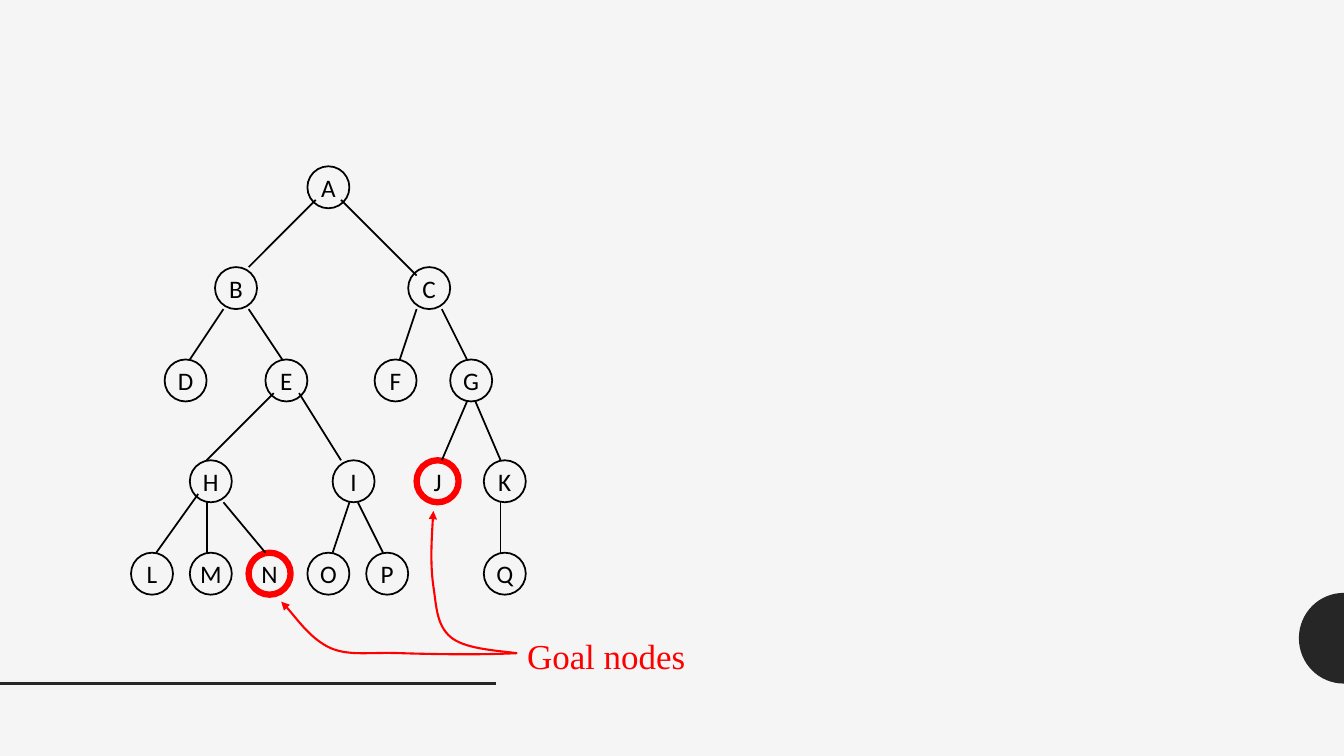
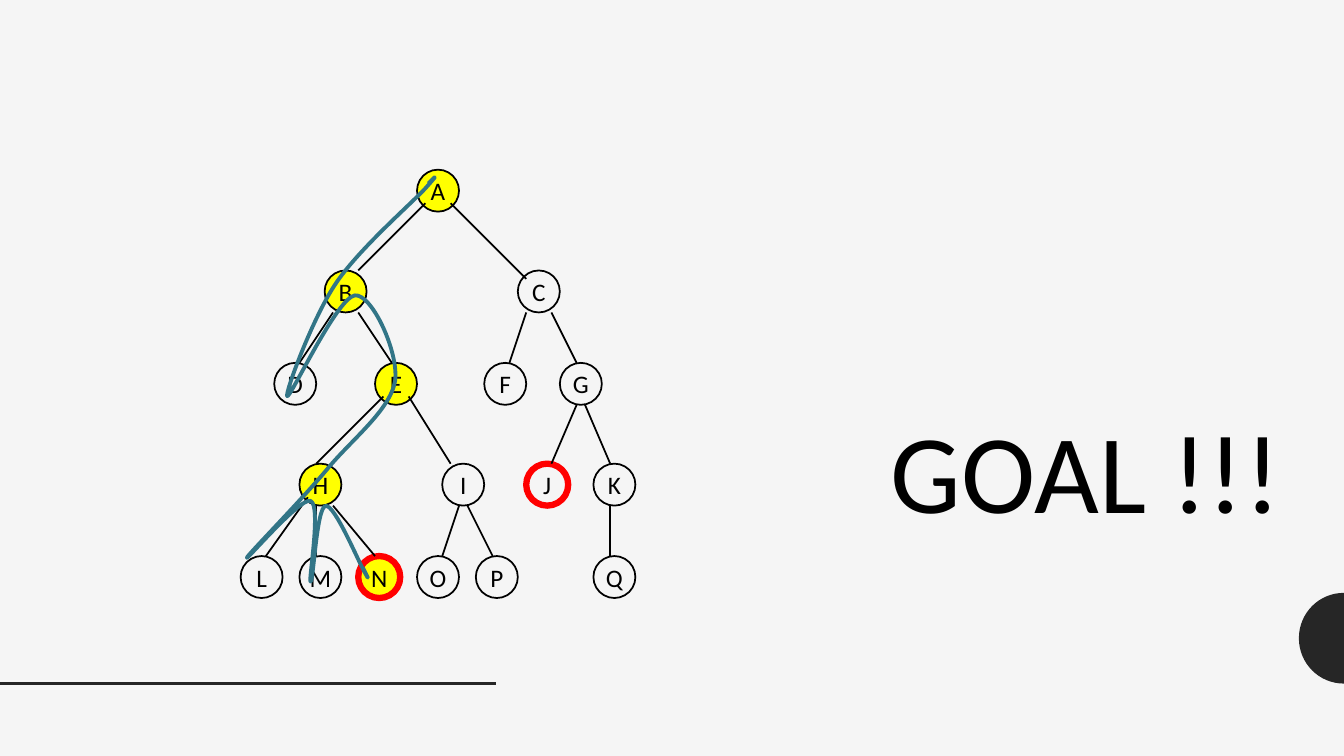
"""Build two slides on depth-first search through a tree with goal nodes."""
from lxml import etree
from pptx import Presentation
from pptx.dml.color import RGBColor
from pptx.enum.shapes import MSO_CONNECTOR, MSO_SHAPE
from pptx.enum.text import MSO_ANCHOR, PP_ALIGN
from pptx.oxml.ns import qn
from pptx.util import Pt

OVAL = MSO_SHAPE.OVAL
STRAIGHT = MSO_CONNECTOR.STRAIGHT
MIDDLE = MSO_ANCHOR.MIDDLE
CENTER = PP_ALIGN.CENTER

PAPER = RGBColor(0xF5, 0xF5, 0xF5)
CHARCOAL = RGBColor(0x26, 0x26, 0x26)
BLACK = RGBColor(0x00, 0x00, 0x00)
RED = RGBColor(0xFF, 0x00, 0x00)
YELLOW = RGBColor(0xFF, 0xFF, 0x00)
TEAL = RGBColor(0x32, 0x75, 0x87)

SANS = "Calibri"
SERIF = "Times New Roman"

NODE_SIZE = 30
GOALS = "NJ"
LEVELS = [
    (276, {"L": 0, "M": 42, "N": 84, "O": 126, "P": 168, "Q": 252}),
    (210, {"H": 42, "I": 144, "J": 204, "K": 252}),
    (138, {"D": 24, "E": 96, "F": 174, "G": 228}),
    (72, {"B": 60, "C": 198}),
    (0, {"A": 126}),
]
EDGES = [
    (84, 72, 132, 24), (150, 24, 204, 78),
    (66, 102, 42, 138), (84, 102, 108, 138),
    (204, 102, 192, 138), (222, 102, 240, 138),
    (54, 210, 102, 162), (150, 210, 120, 162),
    (222, 210, 240, 168), (264, 210, 246, 168),
    (18, 276, 48, 234), (54, 276, 54, 240), (96, 276, 66, 240),
    (144, 276, 156, 240), (180, 276, 162, 240), (264, 276, 264, 240),
]

HALF_DISC = [
    (960, 423.5), (942.1, 423.5), (927.8, 438), (927.8, 455.9),
    (927.8, 473.8), (942.1, 488.3), (960, 488.3),
]
ARROW_TO_N = [
    (369.4, 466.6), (341.3, 468), (307.4, 467.3), (285.8, 466.6),
    (263.5, 465.8), (249.8, 468.7), (236.2, 463),
    (221.8, 456.5), (208.1, 436.3), (200.9, 429.8),
]
ARROW_TO_J = [
    (369.4, 466.6), (350.6, 464.4), (331.2, 463), (321.8, 455),
    (311.8, 446.4), (311.8, 433.4), (309.6, 419),
    (307.4, 403.9), (308.2, 384.5), (309.6, 365),
]
SEARCH_TRACE = [
    (306, 131), (310.3, 126.7), (314.6, 122.4), (303.8, 134.6),
    (292.3, 146.9), (254.9, 179.3), (239, 203.8),
    (222.5, 229), (203, 282.2), (205.2, 283),
    (207.4, 284.4), (240.5, 213.1), (253.4, 211),
    (265.7, 209.5), (285.1, 252), (282.2, 272.2),
    (278.6, 293), (251.3, 313.9), (234, 334.8),
    (216.7, 355.7), (178.6, 394.6), (176.4, 398.2),
    (174.2, 402.5), (214.6, 355), (221.8, 357.8),
    (229.7, 360.7), (220.3, 414.7), (221.8, 415.4),
    (223.9, 416.2), (226.1, 362.2), (232.6, 361.4),
    (239, 360), (256.3, 401.8), (260.6, 409),
    (265, 416.9), (262.1, 411.1), (259.2, 405.4),
]


def style_font(para, name, size, color):
    """Set the font of a whole paragraph."""
    para.font.name = name
    para.font.size = Pt(size)
    para.font.color.rgb = color


def add_line(shapes, ends, color, width):
    """Add a straight line without a shadow."""
    line = shapes.add_connector(STRAIGHT, *(Pt(value) for value in ends))
    line.line.color.rgb = color
    line.line.width = Pt(width)
    etree.SubElement(line._element.spPr, qn("a:effectLst"))


def add_curve(page, points):
    """Add an unpainted chain of cubic curves: a start, then three points each."""
    start, *rest = [(Pt(x), Pt(y)) for x, y in points]
    builder = page.shapes.build_freeform(*start)
    builder.add_line_segments(rest, close=False)
    curve = builder.convert_to_shape()
    for index, segment in enumerate(list(curve._element.iter(qn("a:lnTo")))):
        outline = segment.getparent()
        if index % 3 == 0:
            cubic = etree.SubElement(outline, qn("a:cubicBezTo"))
        cubic.append(segment[0])
        outline.remove(segment)
    curve.shadow.inherit = False
    curve.fill.background()
    curve.line.fill.background()
    return curve


def add_stroke(page, points, color, width, arrow=False):
    """Draw a curved stroke, with an arrowhead at its end if wanted."""
    curve = add_curve(page, points)
    curve.line.color.rgb = color
    curve.line.width = Pt(width)
    if arrow:
        outline = next(curve._element.iter(qn("a:ln")))
        etree.SubElement(outline, qn("a:tailEnd"), type="triangle")


def add_label(page, text, place, name, size, color):
    """Add a one-line text box."""
    box = page.shapes.add_textbox(*(Pt(value) for value in place))
    box.text_frame.word_wrap = False
    para = box.text_frame.paragraphs[0]
    para.text = text
    style_font(para, name, size, color)


def add_node(shapes, letter, left, top, visited):
    """Add one lettered tree node."""
    node = shapes.add_shape(OVAL, Pt(left), Pt(top), Pt(NODE_SIZE), Pt(NODE_SIZE))
    node.shadow.inherit = False
    if visited:
        node.fill.solid()
        node.fill.fore_color.rgb = YELLOW
    else:
        node.fill.background()
    goal = letter in GOALS
    node.line.color.rgb = RED if goal else BLACK
    node.line.width = Pt(4.5 if goal else 1.25)
    frame = node.text_frame
    frame.word_wrap = False
    frame.vertical_anchor = MIDDLE
    para = frame.paragraphs[0]
    para.text = letter
    para.alignment = CENTER
    style_font(para, SANS, 18, BLACK)


def add_tree(page, left, top, visited=""):
    """Add the grouped search tree with its visited nodes highlighted."""
    shapes = page.shapes.add_group_shape().shapes
    for level, nodes in LEVELS:
        for letter, offset in nodes.items():
            add_node(shapes, letter, left + offset, top + level, letter in visited)
    for x1, y1, x2, y2 in EDGES:
        add_line(shapes, (left + x1, top + y1, left + x2, top + y2), BLACK, 1.25)


def add_page(deck):
    """Add a blank slide with the shared half disc and rule."""
    page = deck.slides.add_slide(deck.slide_layouts[6])
    disc = add_curve(page, HALF_DISC)
    disc.fill.solid()
    disc.fill.fore_color.rgb = CHARCOAL
    add_line(page.shapes, (0, 488.3, 354.3, 488.3), CHARCOAL, 2)
    return page


def add_goals_page(deck):
    """Show the tree with its goal nodes pointed out."""
    page = add_page(deck)
    add_tree(page, 93.6, 118.8)
    add_label(page, "Goal nodes", (369.4, 450, 144, 37.4), SERIF, 25, RED)
    for points in (ARROW_TO_N, ARROW_TO_J):
        add_stroke(page, points, RED, 1.5, arrow=True)


def add_search_page(deck):
    """Show the search path from the root to the first goal."""
    page = add_page(deck)
    add_tree(page, 171.9, 121.2, visited="ABEHN")
    add_label(page, "GOAL !!!", (629.3, 283, 296, 104.4), SANS, 80, BLACK)
    add_stroke(page, SEARCH_TRACE, TEAL, 2.75)


def main():
    """Build and save the deck."""
    deck = Presentation()
    deck.slide_width, deck.slide_height = Pt(960), Pt(540)
    backdrop = deck.slide_master.background.fill
    backdrop.solid()
    backdrop.fore_color.rgb = PAPER
    add_goals_page(deck)
    add_search_page(deck)
    deck.save("out.pptx")


if __name__ == "__main__":
    main()
